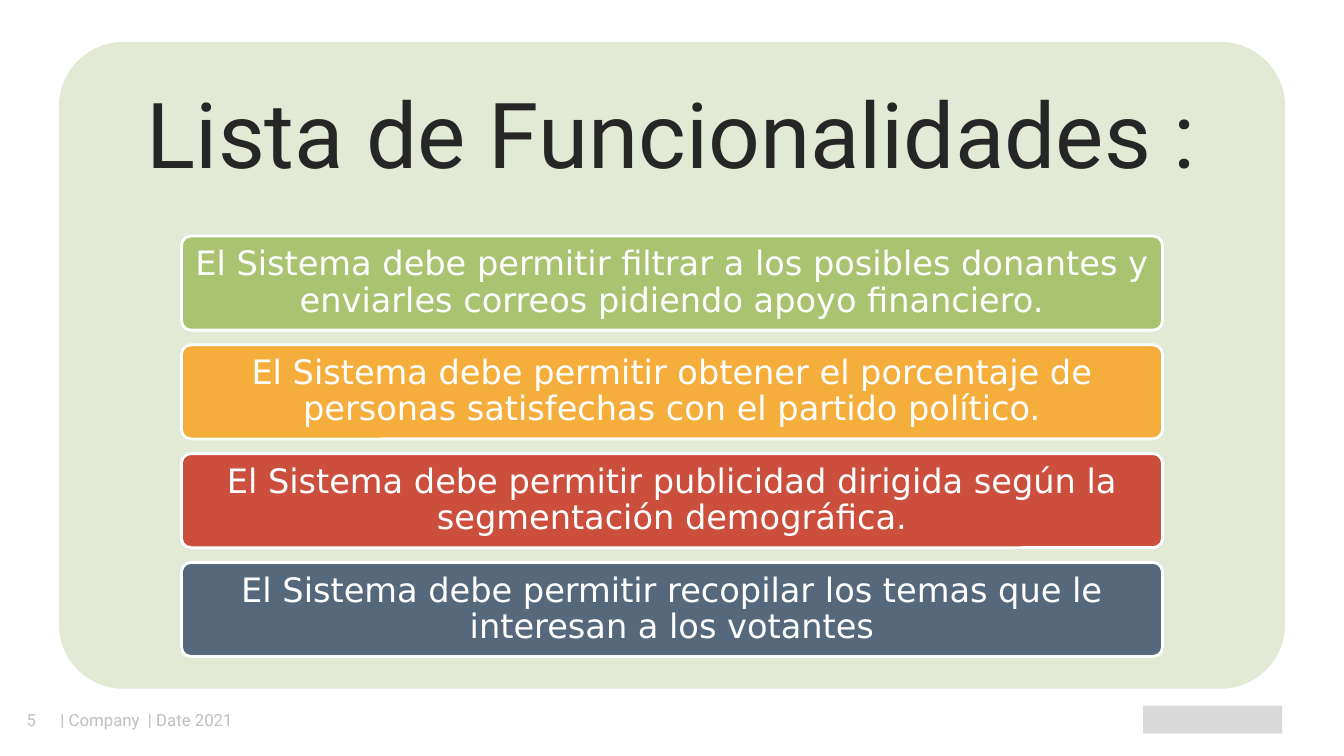
from pptx import Presentation
from pptx.dml.color import RGBColor
from pptx.enum.shapes import MSO_SHAPE as Shape
from pptx.enum.text import MSO_ANCHOR as Anchor, PP_ALIGN as Align
from pptx.util import Pt

COLORS = {
    "panel": "E2E9D5", "title": "262626", "white": "FFFFFF",
    "footer": "BFBFBF", "logo": "D9D9D9",
    "green": "A9C370", "orange": "F5AE3B", "red": "CC4E3D", "slate": "56687C",
}


def add_block(kind, left, top, width, height, fill, line=None):
    shape = slide.shapes.add_shape(kind, Pt(left), Pt(top), Pt(width), Pt(height))
    shape.shadow.inherit = False
    shape.fill.solid()
    shape.fill.fore_color.rgb = RGBColor.from_string(COLORS[fill])
    if kind == Shape.ROUNDED_RECTANGLE:
        shape.adjustments[0] = 0.1
    if line:
        shape.line.color.rgb = RGBColor.from_string(COLORS[line])
        shape.line.width = Pt(2)
    else:
        shape.line.fill.background()
    return shape


def write_text(shape, text, size, color, font="Roboto", align=Align.CENTER,
               spacing=1.0, margin_x=0, margin_y=0):
    frame = shape.text_frame
    frame.word_wrap = True
    frame.vertical_anchor = Anchor.MIDDLE
    frame.margin_left = frame.margin_right = Pt(margin_x)
    frame.margin_top = frame.margin_bottom = Pt(margin_y)
    paragraph = frame.paragraphs[0]
    paragraph.alignment = align
    paragraph.line_spacing = spacing
    run = paragraph.add_run()
    run.text = text
    run.font.size = Pt(size)
    run.font.name = font
    run.font.color.rgb = RGBColor.from_string(COLORS[color])


presentation = Presentation()
presentation.slide_width = Pt(960)
presentation.slide_height = Pt(540)
slide = presentation.slides.add_slide(presentation.slide_layouts[6])

# Footer: slide number, company line and logo placeholder
number_box = slide.shapes.add_textbox(Pt(2), Pt(500), Pt(41), Pt(28.8))
write_text(number_box, "5", 12, "footer", margin_x=9, margin_y=5)
company_box = slide.shapes.add_textbox(Pt(43.2), Pt(507), Pt(191.5), Pt(14.4))
write_text(company_box, "| Company  | Date 2021", 12, "footer", align=Align.LEFT)
add_block(Shape.RECTANGLE, 816.5, 504, 99.4, 20, "logo")

# Panel and title
add_block(Shape.ROUNDED_RECTANGLE, 42, 30, 876, 462, "panel")
title_box = slide.shapes.add_textbox(Pt(42), Pt(30), Pt(876), Pt(139))
write_text(title_box, "Lista de Funcionalidades :", 65, "title",
           spacing=0.9, margin_x=19.5, margin_y=19.5)

# Feature bars
features = [
    ("green", "El Sistema debe permitir filtrar a los posibles donantes y "
              "enviarles correos pidiendo apoyo financiero."),
    ("orange", "El Sistema debe permitir obtener el porcentaje de personas "
               "satisfechas con el partido político."),
    ("red", "El Sistema debe permitir publicidad dirigida según la "
            "segmentación demográfica."),
    ("slate", "El Sistema debe permitir recopilar los temas que le interesan "
              "a los votantes"),
]
BAR_TOP, BAR_HEIGHT, BAR_STEP = 168.6, 67.2, 77.7
for index, (color, text) in enumerate(features):
    bar = add_block(Shape.ROUNDED_RECTANGLE, 129.6, BAR_TOP + index * BAR_STEP,
                    700.8, BAR_HEIGHT, color, line="white")
    write_text(bar, text, 24, "white", font="DejaVu Sans",
               spacing=0.9, margin_x=6, margin_y=4)

presentation.save("out.pptx")
